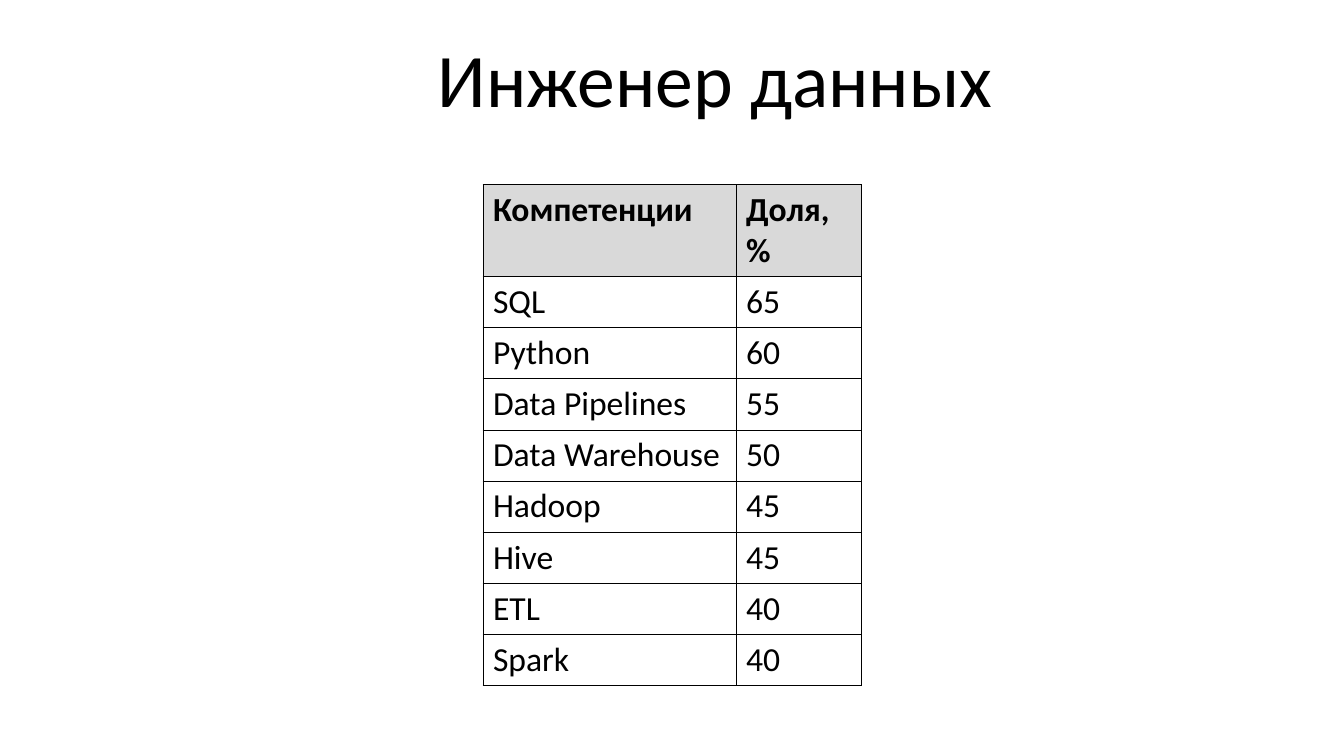
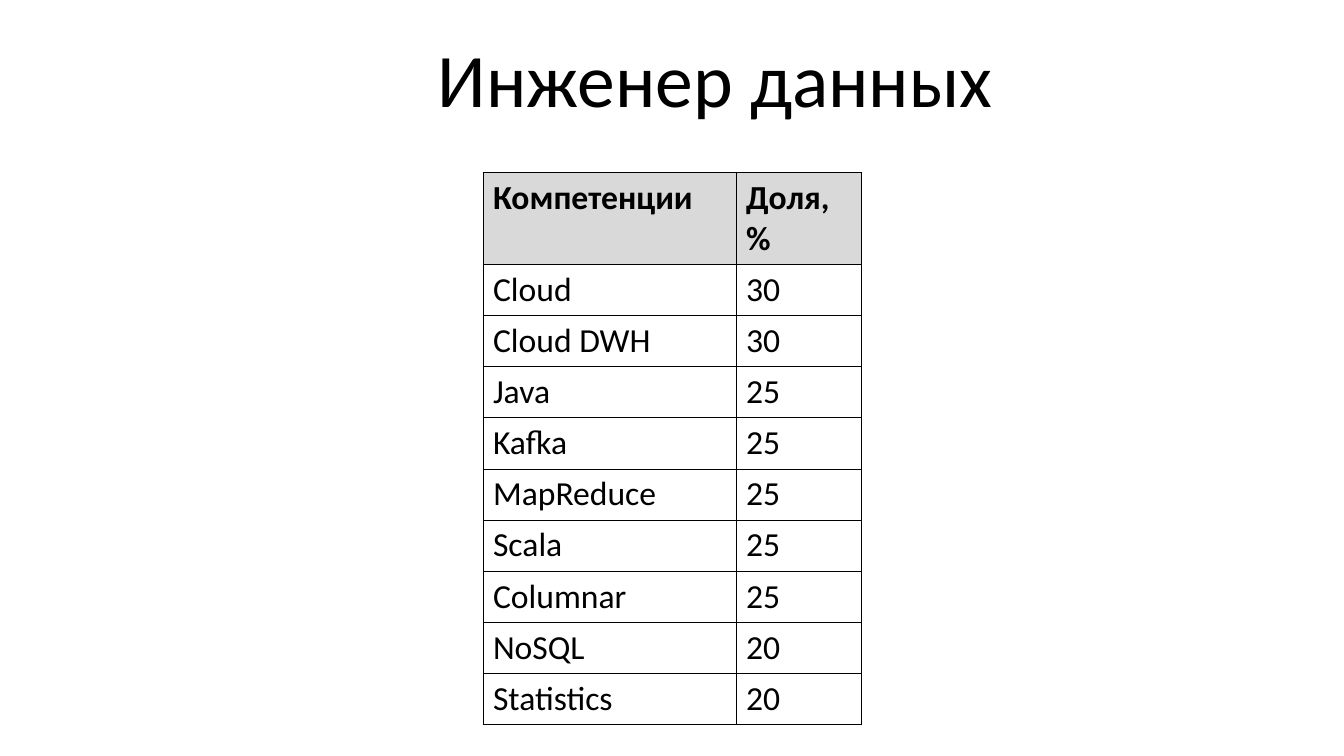
import pptx
import pptx.util
import pptx.dml.color
import pptx.enum.text
from lxml import etree

Inches = pptx.util.Inches
Pt = pptx.util.Pt

TITLE = "Инженер данных"
HEADER = ("Компетенции", "Доля, %")
SLIDES = [
    {
        "top": 1.83,
        "skills": [
            ("SQL", 65), ("Python", 60), ("Data Pipelines", 55),
            ("Data Warehouse", 50), ("Hadoop", 45), ("Hive", 45),
            ("ETL", 40), ("Spark", 40),
        ],
    },
    {
        "top": 1.71,
        "skills": [
            ("Cloud", 30), ("Cloud DWH", 30), ("Java", 25), ("Kafka", 25),
            ("MapReduce", 25), ("Scala", 25), ("Columnar", 25),
            ("NoSQL", 20), ("Statistics", 20),
        ],
    },
]

FONT = "Calibri"
BLACK = "000000"
HEADER_FILL = "D9D9D9"
TABLE_LEFT = 4.79
COLUMN_WIDTHS = (2.51, 1.24)
HEADER_HEIGHT, ROW_HEIGHT = 0.9, 0.5
BORDER_WIDTH = Pt(0.5)
DRAWING_NS = "http://schemas.openxmlformats.org/drawingml/2006/main"


def color(value):
    return pptx.dml.color.RGBColor.from_string(value)


def style_text(para, size, bold=False):
    para.font.name = FONT
    para.font.size = Pt(size)
    para.font.bold = bold
    para.font.color.rgb = color(BLACK)


def add_borders(cell):
    """Draw a thin line on all four sides; call before setting the fill."""
    properties = cell._tc.get_or_add_tcPr()
    for side in ("lnL", "lnR", "lnT", "lnB"):
        line = etree.SubElement(properties, f"{{{DRAWING_NS}}}{side}", w=str(BORDER_WIDTH))
        fill = etree.SubElement(line, f"{{{DRAWING_NS}}}solidFill")
        etree.SubElement(fill, f"{{{DRAWING_NS}}}srgbClr", val=BLACK)


def add_title(page):
    title = page.shapes.title
    title.left, title.top = Inches(0.98), Inches(0.23)
    title.width, title.height = Inches(12.23), Inches(1.27)
    frame = title.text_frame
    frame.text = TITLE
    frame.word_wrap = True
    frame.auto_size = pptx.enum.text.MSO_AUTO_SIZE.NONE
    frame.vertical_anchor = pptx.enum.text.MSO_ANCHOR.TOP
    frame.margin_top = Inches(0.09)
    para = frame.paragraphs[0]
    para.alignment = pptx.enum.text.PP_ALIGN.CENTER
    style_text(para, 54)


def add_skill_table(page, top, skills):
    rows = [HEADER, *skills]
    height = HEADER_HEIGHT + ROW_HEIGHT * len(skills)
    table = page.shapes.add_table(
        len(rows), len(HEADER), Inches(TABLE_LEFT), Inches(top),
        Inches(sum(COLUMN_WIDTHS)), Inches(height)).table
    table.horz_banding = False
    for column, width in zip(table.columns, COLUMN_WIDTHS):
        column.width = Inches(width)
    for row_index, values in enumerate(rows):
        is_header = row_index == 0
        row = table.rows[row_index]
        row.height = Inches(HEADER_HEIGHT if is_header else ROW_HEIGHT)
        for cell, value in zip(row.cells, values):
            cell.text = str(value)
            style_text(cell.text_frame.paragraphs[0], 24, bold=is_header)
            add_borders(cell)
            if is_header:
                cell.fill.solid()
                cell.fill.fore_color.rgb = color(HEADER_FILL)
            else:
                cell.fill.background()


def main():
    deck = pptx.Presentation()
    deck.slide_width, deck.slide_height = Inches(13.33), Inches(7.5)
    title_only = deck.slide_layouts[5]
    for content in SLIDES:
        page = deck.slides.add_slide(title_only)
        add_title(page)
        add_skill_table(page, content["top"], content["skills"])
    deck.save("out.pptx")


if __name__ == "__main__":
    main()
